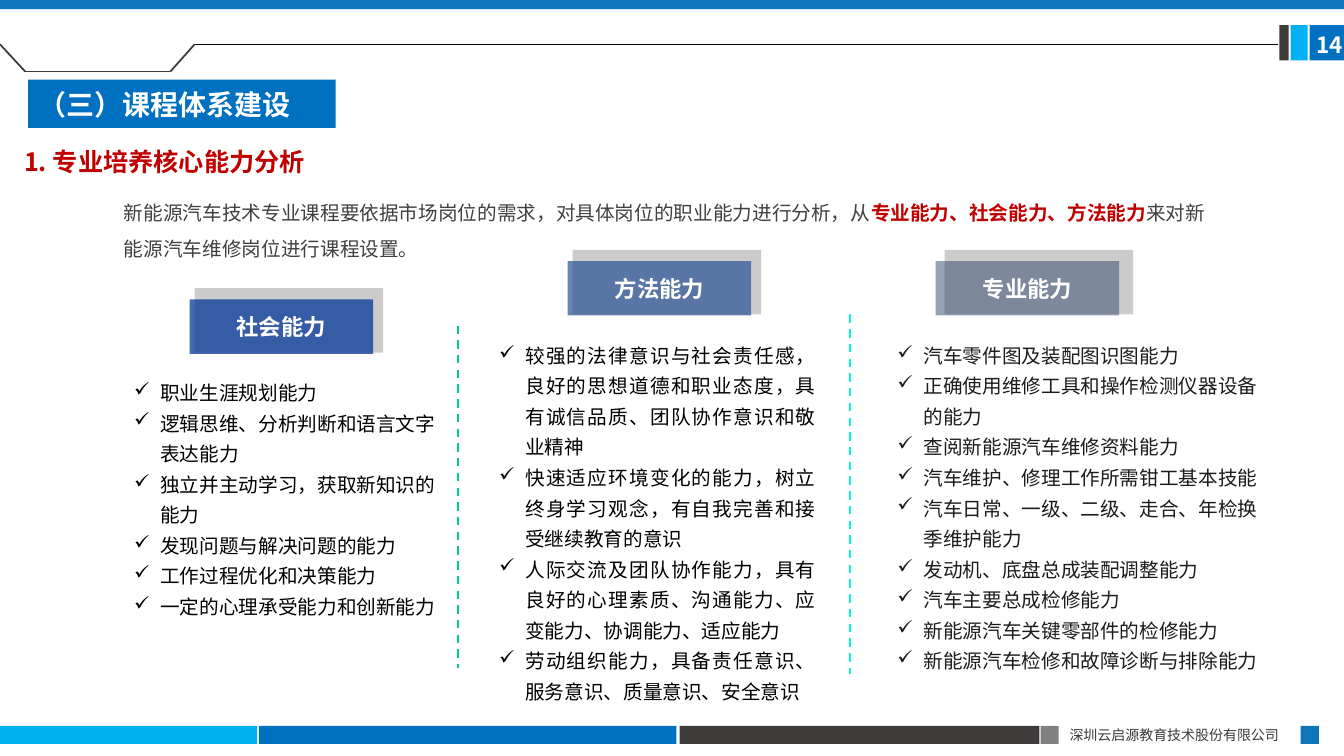
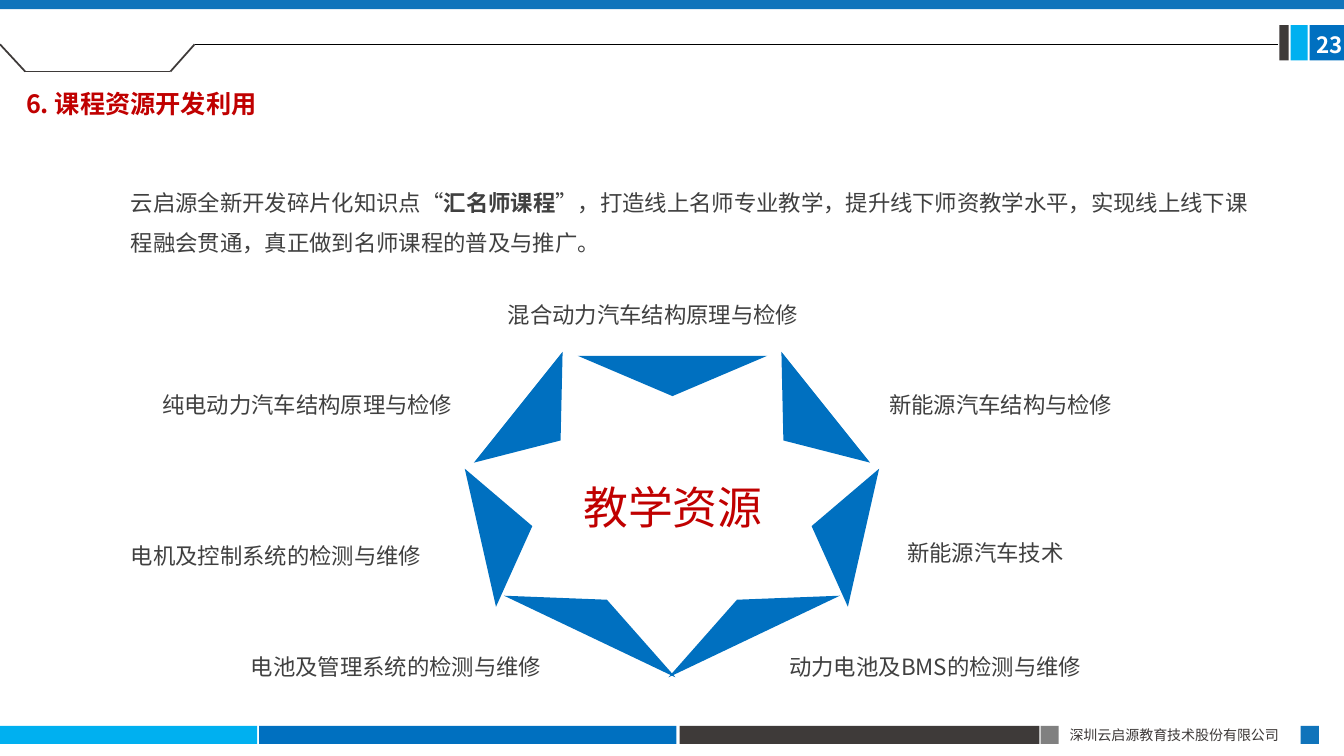
import dataclasses

import lxml.etree
import pptx
import pptx.dml.color
import pptx.enum.dml
import pptx.enum.shapes
import pptx.enum.text
import pptx.oxml.ns
import pptx.util

Inches = pptx.util.Inches
Pt = pptx.util.Pt
qn = pptx.oxml.ns.qn
ALIGN = pptx.enum.text.PP_ALIGN
ANCHOR = pptx.enum.text.MSO_ANCHOR


@dataclasses.dataclass(frozen=True)
class Theme:
    blue: str = "0070C0"
    band: str = "1074BB"
    cyan: str = "00B0F0"
    dark: str = "3E3A39"
    grey: str = "808080"
    shade: str = "CCCCCC"
    red: str = "C00000"
    text: str = "404040"
    soft_black: str = "1C1C1C"
    black: str = "000000"
    white: str = "FFFFFF"
    social: str = "003399"
    method: str = "2F5597"
    professional: str = "203864"
    left_divider: str = "00CC99"
    right_divider: str = "00FFCC"
    font: str = "Noto Sans CJK SC"
    section_font: str = "Calibri"
    footer_size: int = 10
    list_size: int = 14
    body_size: int = 16
    title_size: int = 18
    section_size: int = 20
    center_size: int = 32


THEME = Theme()
WIDTH = 13.33
COMPANY = "深圳云启源教育技术股份有限公司"


def rgb(color):
    return pptx.dml.color.RGBColor.from_string(color)


class Deck:
    """Holds the style and the slide being built."""

    def __init__(self, theme):
        self.theme = theme
        self.presentation = pptx.Presentation()
        self.presentation.slide_width = Inches(WIDTH)
        self.presentation.slide_height = Inches(7.5)
        self.slide = None

    def add_slide(self, number):
        theme = self.theme
        self.slide = self.presentation.slides.add_slide(self.presentation.slide_layouts[6])
        # Footer strip and top band
        for left, top, width, height, color in (
            (0, 7.2, 2.55, 0.18, theme.cyan),
            (2.57, 7.2, 4.14, 0.18, theme.blue),
            (6.74, 7.2, 3.57, 0.18, theme.dark),
            (10.32, 7.2, 0.18, 0.18, theme.grey),
            (12.9, 7.2, 0.18, 0.18, theme.band),
            (12.99, 0.25, 0.35, 0.35, theme.blue),
            (12.8, 0.25, 0.17, 0.35, theme.cyan),
            (12.69, 0.25, 0.09, 0.35, theme.dark),
            (0, 0, WIDTH, 0.09, theme.band),
        ):
            self.rectangle(left, top, width, height, color)
        self.text(10.51, 7.16, 2.4, 0.27, [COMPANY], theme.footer_size, theme.dark)
        # Header outline and page number
        corners = [(0, 0.44), (0.25, 0.71), (1.69, 0.71), (1.93, 0.44)]
        for start, end in zip(corners, corners[1:]):
            self.line(start, end, theme.dark, 1.25)
        self.line(corners[-1], (12.68, 0.44), theme.black, 0.5)
        self.text(12.96, 0.26, 0.5, 0.37, [number], theme.body_size, theme.white, bold=True)

    def paint(self, shape, color, opacity=100):
        shape.shadow.inherit = False
        shape.fill.solid()
        shape.fill.fore_color.rgb = rgb(color)
        shape.line.fill.background()
        if opacity < 100:
            fill_color = shape._element.spPr.find(".//" + qn("a:srgbClr"))
            lxml.etree.SubElement(fill_color, qn("a:alpha"), val=str(opacity * 1000))

    def rectangle(self, left, top, width, height, color, opacity=100):
        shape = self.slide.shapes.add_shape(
            pptx.enum.shapes.MSO_SHAPE.RECTANGLE,
            Inches(left), Inches(top), Inches(width), Inches(height))
        self.paint(shape, color, opacity)
        return shape

    def polygon(self, points, color):
        corners = [(Inches(x), Inches(y)) for x, y in points]
        builder = self.slide.shapes.build_freeform(*corners[0])
        builder.add_line_segments(corners[1:], close=True)
        self.paint(builder.convert_to_shape(), color)

    def line(self, start, end, color, width, dashed=False):
        connector = self.slide.shapes.add_connector(
            pptx.enum.shapes.MSO_CONNECTOR.STRAIGHT,
            *(Inches(value) for value in (*start, *end)))
        connector.line.color.rgb = rgb(color)
        connector.line.width = Pt(width)
        if dashed:
            connector.line.dash_style = pptx.enum.dml.MSO_LINE.DASH
        lxml.etree.SubElement(connector._element.spPr, qn("a:effectLst"))

    def fill_text(self, shape, paragraphs, size, color, bold=False, font=None,
                  align=ALIGN.LEFT, anchor=ANCHOR.TOP, spacing=None, indent=None,
                  bullet=None, margins=None):
        """A paragraph is a string or a list of (text, emphasis colour or None)."""
        frame = shape.text_frame
        frame.word_wrap = True
        frame.vertical_anchor = anchor
        if margins:
            frame.margin_left = frame.margin_right = Inches(margins[0])
            frame.margin_top = frame.margin_bottom = Inches(margins[1])
        for index, content in enumerate(paragraphs):
            paragraph = frame.add_paragraph() if index else frame.paragraphs[0]
            paragraph.alignment = align
            if spacing:
                paragraph.line_spacing = spacing
            properties = paragraph._p.get_or_add_pPr()
            if indent:
                properties.set("marL", str(Inches(indent[0])))
                properties.set("indent", str(Inches(indent[1])))
            if bullet:
                lxml.etree.SubElement(properties, qn("a:buChar"), char=bullet)
            paragraph.font.size = Pt(size)
            paragraph.font.bold = bold
            paragraph.font.color.rgb = rgb(color)
            paragraph.font.name = font or self.theme.font
            lxml.etree.SubElement(properties.find(qn("a:defRPr")), qn("a:ea"),
                                  typeface=self.theme.font)
            parts = [(content, None)] if isinstance(content, str) else content
            for words, emphasis in parts:
                run = paragraph.add_run()
                run.text = words
                if emphasis:
                    run.font.bold = True
                    run.font.color.rgb = rgb(emphasis)

    def text(self, left, top, width, height, paragraphs, size, color, **style):
        box = self.slide.shapes.add_textbox(
            Inches(left), Inches(top), Inches(width), Inches(height))
        self.fill_text(box, paragraphs, size, color, **style)

    def title(self, left, top, width, words):
        self.text(left, top, width, 0.56, [words], self.theme.title_size, self.theme.red,
                  bold=True, spacing=1.5, indent=(0, 0.39))

    def section(self, words):
        shape = self.rectangle(0.28, 0.79, 3.05, 0.48, self.theme.blue)
        self.fill_text(shape, [words], self.theme.section_size, self.theme.white, bold=True,
                       font=self.theme.section_font, anchor=ANCHOR.MIDDLE)

    def heading(self, left, top, shade_offset, color, opacity, words):
        self.rectangle(left + shade_offset, top - 0.11, 1.87, 0.64, self.theme.shade)
        shape = self.rectangle(left, top, 1.82, 0.54, color, opacity)
        self.fill_text(shape, [words], self.theme.body_size, self.theme.white, bold=True,
                       align=ALIGN.CENTER, anchor=ANCHOR.MIDDLE, margins=(0.08, 0.04))

    def checklist(self, left, top, width, height, items, color, align=ALIGN.LEFT):
        self.text(left, top, width, height, items, self.theme.list_size, color, align=align,
                  spacing=1.3, indent=(0.26, -0.26), bullet="✓", margins=(0.08, 0.04))


def build_abilities(deck):
    theme = deck.theme
    deck.add_slide("14")
    deck.section("（三）课程体系建设")
    deck.title(-0.25, 1.25, 3.68, "1. 专业培养核心能力分析")
    deck.text(1.15, 1.84, 10.97, 0.79, [[
        ("新能源汽车技术专业课程要依据市场岗位的需求，对具体岗位的职业能力进行分析，从", None),
        ("专业能力、社会能力、方法能力", theme.red),
        ("来对新能源汽车维修岗位进行课程设置。", None),
    ]], theme.list_size, theme.text, spacing=1.5, margins=(0.08, 0.04))

    # Column headings and dividers
    deck.heading(1.88, 2.97, 0.05, theme.social, 73, "社会能力")
    deck.heading(5.63, 2.59, 0.05, theme.method, 73, "方法能力")
    deck.heading(9.28, 2.59, 0.09, theme.professional, 46, "专业能力")
    deck.line((4.54, 3.23), (4.54, 6.63), theme.left_divider, 1.5, dashed=True)
    deck.line((8.43, 3.12), (8.43, 6.69), theme.right_divider, 1.5, dashed=True)

    # Ability lists
    deck.checklist(1.25, 3.67, 3.25, 2.5, [
        "职业生涯规划能力",
        "逻辑思维、分析判断和语言文字表达能力",
        "独立并主动学习，获取新知识的能力",
        "发现问题与解决问题的能力",
        "工作过程优化和决策能力",
        "一定的心理承受能力和创新能力",
    ], theme.black)
    deck.checklist(4.87, 3.3, 3.3, 3.76, [
        "较强的法律意识与社会责任感，良好的思想道德和职业态度，具有诚信品质、团队协作意识和敬业精神",
        "快速适应环境变化的能力，树立终身学习观念，有自我完善和接受继续教育的意识",
        "人际交流及团队协作能力，具有良好的心理素质、沟通能力、应变能力、协调能力、适应能力",
        "劳动组织能力，具备责任意识、服务意识、质量意识、安全意识",
    ], theme.black, ALIGN.JUSTIFY)
    deck.checklist(8.82, 3.3, 3.75, 3.45, [
        "汽车零件图及装配图识图能力",
        "正确使用维修工具和操作检测仪器设备的能力",
        "查阅新能源汽车维修资料能力",
        "汽车维护、修理工作所需钳工基本技能",
        "汽车日常、一级、二级、走合、年检换季维护能力",
        "发动机、底盘总成装配调整能力",
        "汽车主要总成检修能力",
        "新能源汽车关键零部件的检修能力",
        "新能源汽车检修和故障诊断与排除能力",
    ], theme.soft_black)


def build_resources(deck):
    theme = deck.theme
    deck.add_slide("23")
    deck.title(-0.23, 0.68, 4.07, "6. 课程资源开发利用")
    deck.text(1.2, 1.69, 11.35, 0.86, [[
        ("云启源全新开发碎片化知识点“", None),
        ("汇名师课程", theme.text),
        ("”，打造线上名师专业教学，提升线下师资教学水平，实现线上线下课程融会贯通，"
         "真正做到名师课程的普及与推广。", None),
    ]], theme.body_size, theme.text, spacing=1.5)

    # Seven-part ring: the top piece, then mirrored pairs
    deck.polygon([(5.73, 3.53), (7.61, 3.53), (6.67, 3.93)], theme.blue)
    for triangle in (
        [(4.7, 4.59), (5.58, 3.49), (5.56, 4.37)],
        [(4.92, 6.02), (4.61, 4.65), (5.28, 5.22)],
        [(6.7, 6.72), (5, 5.91), (6.02, 5.95)],
    ):
        deck.polygon(triangle, theme.blue)
        deck.polygon([(WIDTH - x, y) for x, y in triangle], theme.blue)
    deck.text(5.62, 4.37, 2.11, 1.31, ["教学资源"], theme.center_size, theme.red,
              align=ALIGN.CENTER, anchor=ANCHOR.MIDDLE, margins=(0, 0))

    # Course labels around the ring
    for left, top, width, spacing, course in (
        (4.94, 2.86, 3.47, 1.3, "混合动力汽车结构原理与检修"),
        (8.72, 3.75, 3.04, 1.3, "新能源汽车结构与检修"),
        (8.9, 5.22, 2.66, 1.3, "新能源汽车技术"),
        (7.73, 6.35, 3.82, 1.3, "动力电池及BMS的检测与维修"),
        (2.39, 6.35, 3.55, 1.3, "电池及管理系统的检测与维修"),
        (1.2, 5.22, 3.49, 1.4, "电机及控制系统的检测与维修"),
        (1.51, 3.75, 3.55, 1.3, "纯电动力汽车结构原理与检修"),
    ):
        deck.text(left, top, width, 0.37, [course], theme.body_size, theme.text,
                  spacing=spacing)


def main():
    deck = Deck(THEME)
    build_abilities(deck)
    build_resources(deck)
    deck.presentation.save("out.pptx")


if __name__ == "__main__":
    main()
